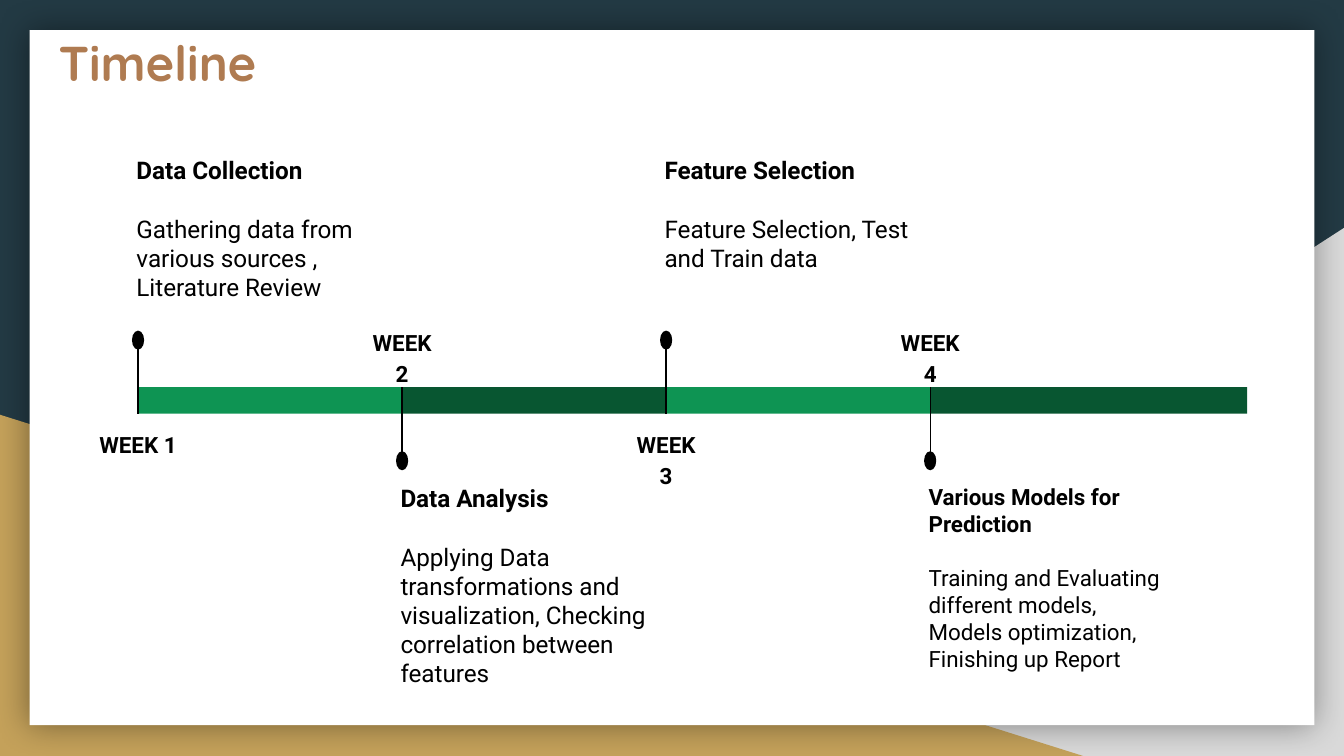
from lxml import etree
from pptx import Presentation
from pptx.dml.color import RGBColor
from pptx.enum.shapes import MSO_CONNECTOR, MSO_SHAPE
from pptx.enum.text import MSO_ANCHOR, PP_ALIGN
from pptx.oxml import parse_xml
from pptx.oxml.ns import nsdecls, qn
from pptx.util import Cm, Pt

RECT, OVAL, TRIANGLE = MSO_SHAPE.RECTANGLE, MSO_SHAPE.OVAL, MSO_SHAPE.RIGHT_TRIANGLE
STRAIGHT = MSO_CONNECTOR.STRAIGHT
LEFT, CENTER = PP_ALIGN.LEFT, PP_ALIGN.CENTER
TOP = MSO_ANCHOR.TOP

NAVY = RGBColor(0x23, 0x3A, 0x44)
GRAY = RGBColor(0xD9, 0xD9, 0xD9)
GOLD = RGBColor(0xC4, 0xA1, 0x5A)
WHITE = RGBColor(0xFF, 0xFF, 0xFF)
BLACK = RGBColor(0, 0, 0)
BROWN = RGBColor(0xAF, 0x7B, 0x51)
GREEN = RGBColor(0x0E, 0x94, 0x53)
DARK_GREEN = RGBColor(0x08, 0x56, 0x31)

STAGE_LEFT, STAGE_STEP, BAR_END = 2.61, 4.99, 23.57
BAR_TOP, BAR_HEIGHT = 7.32, 0.5
DOT_WIDTH, DOT_HEIGHT = 0.23, 0.36

# label, label width, heading, body paragraphs, text size
STAGES = [
    ("WEEK 1", 2.21, "Data Collection",
     ["Gathering data from various sources , Literature Review"], 13),
    ("WEEK 2", 1.9, "Data Analysis",
     ["Applying Data transformations and visualization, "
      "Checking correlation between features"], 13),
    ("WEEK 3", 1.78, "Feature Selection",
     ["Feature Selection, Test and Train data"], 13),
    ("WEEK 4", 1.9, "Various Models for Prediction",
     ["Training and Evaluating different models,",
      "Models optimization, Finishing up Report"], 12),
]


def add_shape(shapes, kind, left, top, width, height, color):
    sp = shapes.add_shape(kind, Cm(left), Cm(top), Cm(width), Cm(height))
    sp.shadow.inherit = False
    sp.fill.solid()
    sp.fill.fore_color.rgb = color
    sp.line.fill.background()
    return sp


def add_glow_shadow(sp):
    """Give the shape a soft black shadow on all sides."""
    effects = sp._element.spPr.find(qn("a:effectLst"))
    effects.append(parse_xml(
        f'<a:outerShdw {nsdecls("a")} blurRad="{Pt(18)}" dist="0" dir="0" '
        'algn="ctr" rotWithShape="0"><a:srgbClr val="000000">'
        '<a:alpha val="40000"/></a:srgbClr></a:outerShdw>'))


def add_line(shapes, x, y1, y2):
    line = shapes.add_connector(STRAIGHT, Cm(x), Cm(y1), Cm(x), Cm(y2))
    line.line.color.rgb = BLACK
    line.line.width = Pt(0.75)
    etree.SubElement(line._element.spPr, qn("a:effectLst"))


def add_text_box(shapes, left, top, width, height):
    box = shapes.add_textbox(Cm(left), Cm(top), Cm(width), Cm(height))
    tf = box.text_frame
    tf.word_wrap = True
    tf.vertical_anchor = TOP
    tf.margin_left = tf.margin_right = tf.margin_top = tf.margin_bottom = Cm(0.25)
    return tf


def add_text(tf, text, size, font="Roboto", color=BLACK, bold=False,
             align=LEFT, spacing=None, after=0):
    p = tf.paragraphs[0] if not tf.paragraphs[0].runs else tf.add_paragraph()
    p.alignment = align
    p.space_after = Pt(after)
    if spacing:
        p.line_spacing = spacing
    r = p.add_run()
    r.text = text
    r.font.name = font
    r.font.size = Pt(size)
    r.font.bold = bold
    r.font.color.rgb = color


def add_background(s):
    s.background.fill.solid()
    s.background.fill.fore_color.rgb = NAVY
    corner = add_shape(s.shapes, TRIANGLE, 9.96, 4.31, 15.44, 9.98, GRAY)
    corner._element.spPr.xfrm.set("flipH", "1")
    add_shape(s.shapes, TRIANGLE, 0, 7.84, 20.47, 6.45, GOLD)
    add_glow_shadow(add_shape(s.shapes, RECT, 0.56, 0.57, 24.28, 13.14, WHITE))


def add_stage(s, index, label, label_width, heading, body, size):
    """Draw one week; its note stands above the bar for even indexes, else below."""
    above = index % 2 == 0
    x = STAGE_LEFT + index * STAGE_STEP
    last = index == len(STAGES) - 1
    width = BAR_END - x if last else STAGE_STEP
    dot_top, label_top, note_top = (6.25, 7.82, 2.69) if above else (8.53, 5.89, 8.89)
    dot_middle = dot_top + DOT_HEIGHT / 2
    bar_far_side = BAR_TOP + BAR_HEIGHT if above else BAR_TOP

    shapes = s.shapes.add_group_shape().shapes
    add_shape(shapes, RECT, x, BAR_TOP, width, BAR_HEIGHT,
              GREEN if above else DARK_GREEN)
    add_line(shapes, x, dot_middle, bar_far_side)
    add_shape(shapes, OVAL, x - DOT_WIDTH / 2, dot_top, DOT_WIDTH, DOT_HEIGHT, BLACK)

    tf = add_text_box(shapes, x - label_width / 2, label_top, label_width, 1.4)
    add_text(tf, label, 12, bold=True, align=CENTER, spacing=1.15)

    tf = add_text_box(shapes, x - 0.28, note_top, 5.74, 3.58)
    add_text(tf, heading, size, bold=True, after=size * 1.2)
    for text in body:
        add_text(tf, text, size)


def main():
    prs = Presentation()
    prs.slide_width, prs.slide_height = Cm(25.4), Cm(14.29)
    s = prs.slides.add_slide(prs.slide_layouts[6])
    add_background(s)
    tf = add_text_box(s.shapes, 0.86, 0.36, 6.25, 1.6)
    add_text(tf, "Timeline", 26.2, font="Quicksand", color=BROWN, bold=True)
    for index, stage in enumerate(STAGES):
        add_stage(s, index, *stage)
    prs.save("out.pptx")


if __name__ == "__main__":
    main()
